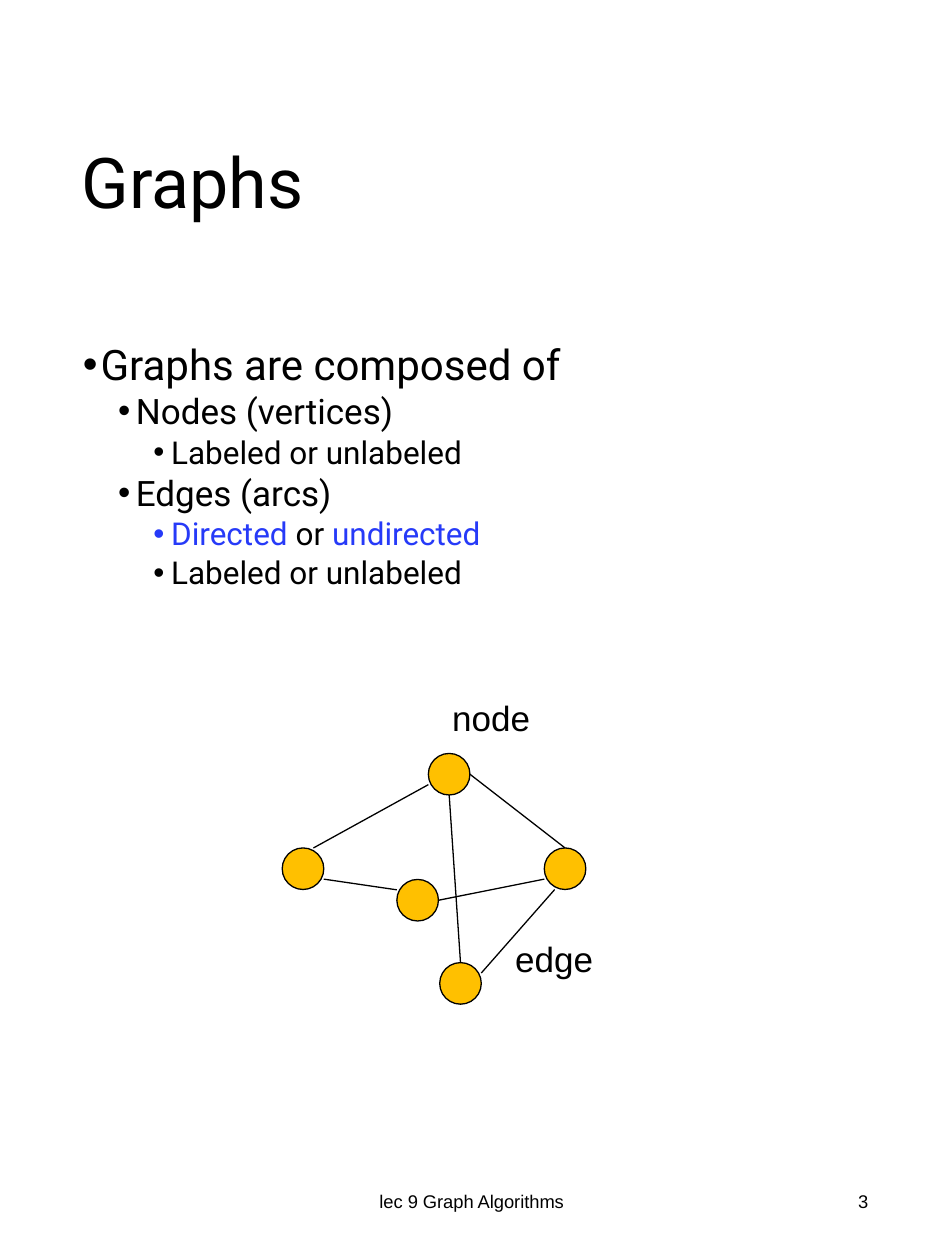
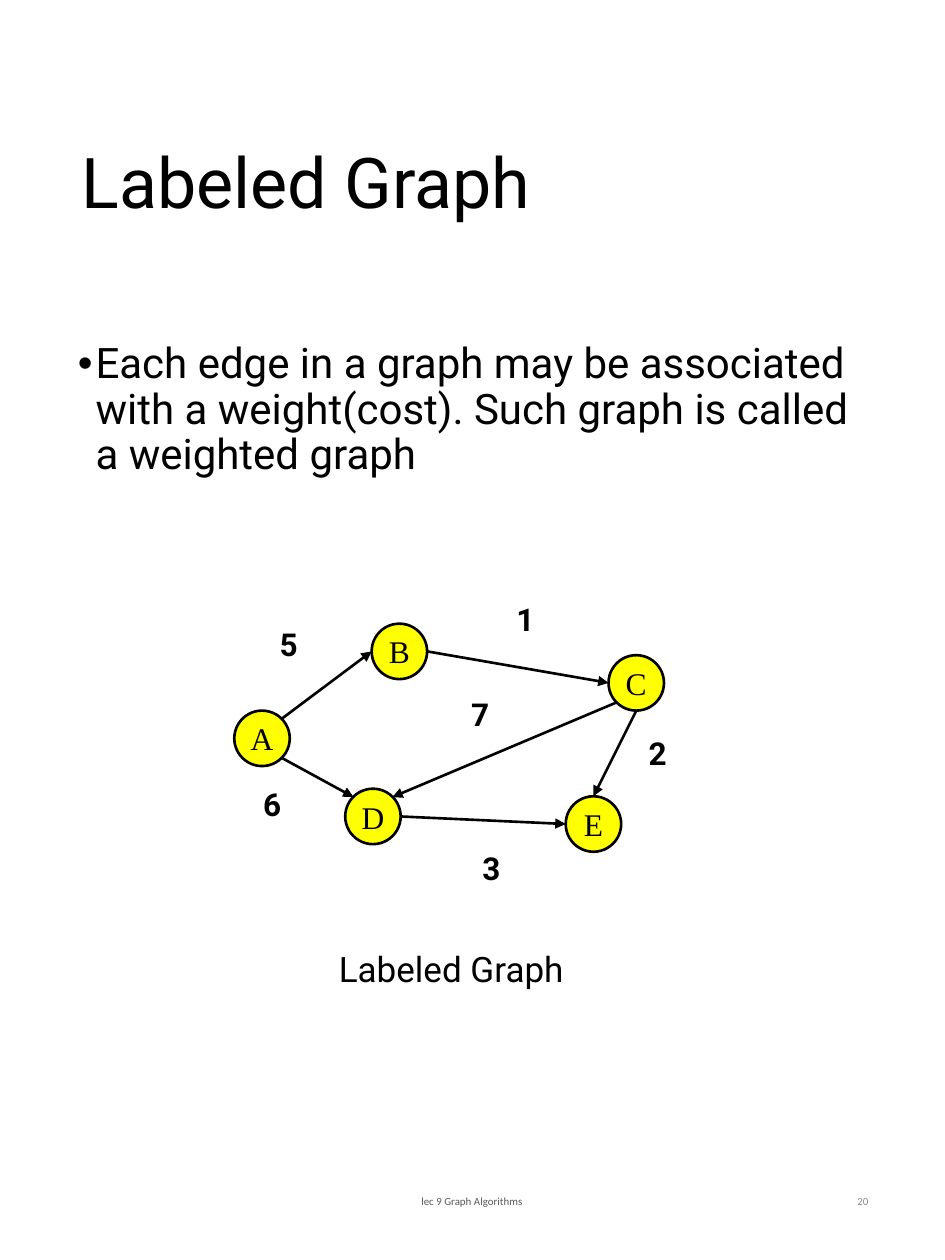
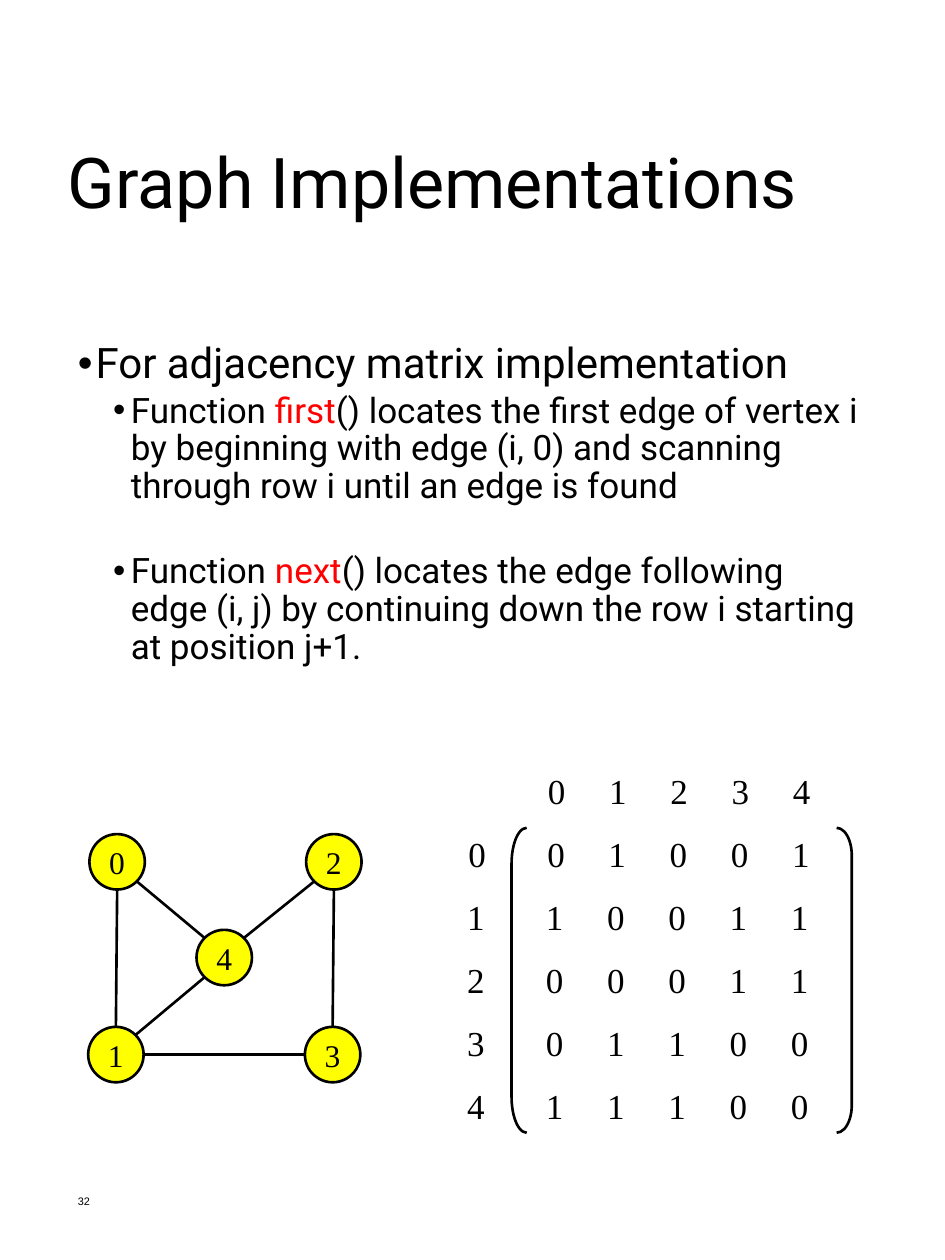
from dataclasses import dataclass

from lxml.etree import SubElement
from pptx import Presentation
from pptx.dml.color import RGBColor
from pptx.enum.shapes import MSO_CONNECTOR, MSO_SHAPE
from pptx.enum.text import MSO_ANCHOR, MSO_AUTO_SIZE, PP_ALIGN
from pptx.oxml.ns import qn
from pptx.util import Inches, Pt


@dataclass(frozen=True)
class Theme:
    sans: str = "Roboto"
    plain: str = "Arial"
    small_print: str = "Calibri"
    serif: str = "Times New Roman"
    black: str = "000000"
    blue: str = "263AF8"
    red: str = "FF0000"
    amber: str = "FFC000"
    yellow: str = "FFFF00"
    dark_gray: str = "595959"
    gray: str = "8C8C8C"
    title: float = 40
    levels: tuple = (24, 20, 18)
    label: float = 20
    node: float = 18
    footer: float = 10.5
    small_footer: float = 6.2
    thin: float = 0.75
    thick: float = 1.5


THEME = Theme()
LEVEL_INDENT, HANGING = 0.28, 0.14
FOOTER_TOP, FOOTER_HEIGHT = 9.27, 0.53

# Points on a node's frame, as fractions of its width and height
SITES = {
    "top": (0.5, 0), "bottom": (0.5, 1), "left": (0, 0.5), "right": (1, 0.5),
    "top left": (0.15, 0.15), "top right": (0.85, 0.15),
    "bottom left": (0.15, 0.85), "bottom right": (0.85, 0.85),
}


def rgb(color):
    return RGBColor.from_string(color)


class Deck:
    def __init__(self, theme):
        self.theme = theme
        self.prs = Presentation()
        self.prs.slide_width, self.prs.slide_height = Inches(7.5), Inches(10)
        self.s = None

    def new_slide(self):
        self.s = self.prs.slides.add_slide(self.prs.slide_layouts[6])

    def run(self, p, text, size, font, color=None, bold=False):
        r = p.add_run()
        r.text = text
        r.font.size, r.font.name, r.font.bold = Pt(size), font, bold
        r.font.color.rgb = rgb(color or self.theme.black)

    def frame(self, box, anchor=MSO_ANCHOR.TOP, wrap=True, grow=False):
        tf = self.s.shapes.add_textbox(*map(Inches, box)).text_frame
        tf.word_wrap, tf.vertical_anchor = wrap, anchor
        tf.auto_size = MSO_AUTO_SIZE.SHAPE_TO_FIT_TEXT if grow else MSO_AUTO_SIZE.NONE
        return tf

    def title(self, text, left=0.55, width=6.47):
        p = self.frame((left, 0.51, width, 1.93), MSO_ANCHOR.MIDDLE).paragraphs[0]
        p.line_spacing = 0.9
        self.run(p, text, self.theme.title, self.theme.sans)

    def body(self, box, items):
        """Each item is (level, runs, space before); a run is text or (text, color)."""
        tf = self.frame(box)
        for i, (level, runs, space) in enumerate(items):
            p = tf.add_paragraph() if i else tf.paragraphs[0]
            p.level = level
            pPr = p._p.get_or_add_pPr()
            pPr.set("marL", str(Inches(HANGING + level * LEVEL_INDENT)))
            pPr.set("indent", str(-Inches(HANGING)))
            SubElement(pPr, qn("a:buFont"), typeface=self.theme.plain)
            SubElement(pPr, qn("a:buChar"), char="•")
            p.line_spacing = 0.9
            p.space_before = Pt(space if i else 0)
            for piece in runs:
                text, color = (piece, None) if isinstance(piece, str) else piece
                self.run(p, text, self.theme.levels[level], self.theme.sans, color)

    def footer(self, text, left, width, align, size, font, color=None):
        tf = self.frame((left, FOOTER_TOP, width, FOOTER_HEIGHT), MSO_ANCHOR.MIDDLE)
        p = tf.paragraphs[0]
        p.alignment = align
        self.run(p, text, size, font, color)

    def footers(self, number, size, font, text_color=None, number_color=None):
        self.footer("lec 9 Graph Algorithms", 2.48, 2.53, PP_ALIGN.CENTER,
                    size, font, text_color)
        self.footer(number, 5.3, 1.69, PP_ALIGN.RIGHT, size, font, number_color)

    def label(self, text, box, size, font, bold=False, wrap=False):
        p = self.frame(box, wrap=wrap, grow=True).paragraphs[0]
        self.run(p, text, size, font, bold=bold)

    def row(self, values, left, top, width, first_gap, gap=0.486):
        """Write values in one line, set apart by tab stops."""
        p = self.frame((left, top, width, 0.44), grow=True).paragraphs[0]
        tabs = SubElement(p._p.get_or_add_pPr(), qn("a:tabLst"))
        for i in range(len(values) - 1):
            SubElement(tabs, qn("a:tab"), pos=str(Inches(first_gap + i * gap)), algn="l")
        self.run(p, "\t".join(values), self.theme.label, self.theme.serif)

    def shape(self, kind, box, line, fill=None):
        sp = self.s.shapes.add_shape(kind, *map(Inches, box))
        sp.shadow.inherit = False
        if fill:
            sp.fill.solid()
            sp.fill.fore_color.rgb = rgb(fill)
        else:
            sp.fill.background()
        sp.line.color.rgb, sp.line.width = rgb(self.theme.black), Pt(line)
        return sp

    def node(self, left, top, size, fill, line, text=None):
        sp = self.shape(MSO_SHAPE.OVAL, (left, top, size, size), line, fill)
        if text:
            tf = sp.text_frame
            tf.word_wrap, tf.vertical_anchor = False, MSO_ANCHOR.MIDDLE
            p = tf.paragraphs[0]
            p.alignment = PP_ALIGN.CENTER
            self.run(p, text, self.theme.node, self.theme.serif)

    def edge(self, start, end, line, arrow):
        c = self.s.shapes.add_connector(MSO_CONNECTOR.STRAIGHT, *map(Inches, start + end))
        c.line.color.rgb, c.line.width = rgb(self.theme.black), Pt(line)
        if arrow:
            SubElement(c.line._get_or_add_ln(), qn("a:tailEnd"), type="triangle")
        SubElement(c._element.spPr, qn("a:effectLst"))

    def graph(self, nodes, edges, size, fill, line, named=True, arrow=False):
        """Draw nodes {name: (left, top)} and edges (from, site, to, site)."""
        def point(name, site):
            fx, fy = SITES.get(site, site)
            left, top = nodes[name]
            return left + fx * size, top + fy * size

        for name, (left, top) in nodes.items():
            self.node(left, top, size, fill, line, name if named else None)
        for a, a_site, b, b_site in edges:
            self.edge(point(a, a_site), point(b, b_site), line, arrow)


def graphs_slide(deck):
    t = deck.theme
    deck.new_slide()
    deck.footers("3", t.footer, t.plain)
    deck.title("Graphs")
    deck.body((0.56, 2.68, 6.38, 2.51), [
        (0, ["Graphs are composed of"], 0),
        (1, ["Nodes (vertices)"], 2.8),
        (2, ["Labeled or unlabeled"], 2.8),
        (1, ["Edges (arcs)"], 2.8),
        (2, [("Directed", t.blue), " or ", ("undirected", t.blue)], 2.8),
        (2, ["Labeled or unlabeled"], 2.8),
    ])
    nodes = {"west": (2.24, 6.73), "north": (3.4, 5.98), "east": (4.32, 6.73),
             "south": (3.49, 7.64), "middle": (3.15, 6.98)}
    edges = [
        ("west", (0.75, 0), "north", (0, 0.75)),
        ("north", "right", "east", "top"),
        ("north", "bottom", "south", "top"),
        ("middle", "right", "east", (0, 0.75)),
        ("south", (1, 0.25), "east", (0.25, 1)),
        ("west", (1, 0.75), "middle", (0, 0.25)),
    ]
    deck.graph(nodes, edges, 0.33, t.amber, t.thin, named=False)
    deck.label("node", (3.49, 5.48, 0.82, 0.43), t.label, t.plain)
    deck.label("edge", (3.99, 7.39, 0.82, 0.43), t.label, t.plain)


def labeled_graph_slide(deck):
    t = deck.theme
    deck.new_slide()
    deck.title("Labeled Graph")
    deck.body((0.52, 2.67, 6.47, 6.34), [
        (0, ["Each edge in a graph may be associated with a weight(cost). "
             "Such graph is called a weighted graph"], 0),
    ])
    deck.footers("20", t.small_footer, t.small_print, t.dark_gray, t.gray)
    nodes = {"A": (1.86, 5.64), "B": (2.95, 4.95), "C": (4.83, 5.2),
             "E": (4.49, 6.32), "D": (2.74, 6.26)}
    edges = [
        ("C", "bottom", "E", "top"),
        ("D", "right", "E", "left"),
        ("A", "bottom right", "D", "top left"),
        ("C", "bottom left", "D", "top right"),
        ("B", "right", "C", "left"),
        ("A", "top right", "B", "left"),
    ]
    deck.graph(nodes, edges, 0.44, t.yellow, t.thick, arrow=True)
    weights = {"5": (2.12, 4.91), "1": (4, 4.71), "3": (3.73, 6.69),
               "7": (3.64, 5.47), "2": (5.05, 5.78), "6": (1.99, 6.18)}
    for weight, place in weights.items():
        deck.label(weight, (*place, 0.55, 0.4), t.node, t.sans, bold=True, wrap=True)
    deck.label("Labeled Graph", (2.59, 7.47, 2.11, 0.44), t.label, t.sans)


def implementations_slide(deck):
    t = deck.theme
    deck.new_slide()
    deck.title("Graph Implementations", 0.44, 6.93)
    deck.body((0.52, 2.67, 6.47, 6.34), [
        (0, ["For adjacency matrix implementation"], 0),
        (1, ["Function ", ("first", t.red),
             "() locates the first edge of vertex i by beginning with edge (i, 0) "
             "and scanning through row i until an edge is found"], 2.8),
        (1, ["Function ", ("next", t.red),
             "() locates the edge following edge (i, j) by continuing down the row i "
             "starting at position j+1."], 26.9),
    ])
    deck.footer("32", 0.52, 1.69, PP_ALIGN.LEFT, t.small_footer, t.plain)
    nodes = {"0": (0.71, 6.62), "2": (2.43, 6.62), "4": (1.56, 7.38),
             "3": (2.42, 8.15), "1": (0.7, 8.15)}
    edges = [
        ("3", "top", "2", "bottom"),
        ("0", "bottom", "1", "top"),
        ("4", "bottom left", "1", "top right"),
        ("2", "bottom left", "4", "top right"),
        ("0", "bottom right", "4", "top left"),
        ("1", "right", "3", "left"),
    ]
    deck.graph(nodes, edges, 0.44, t.yellow, t.thick)

    for kind, left, curve in ((MSO_SHAPE.LEFT_BRACKET, 4.06, 2.38),
                              (MSO_SHAPE.RIGHT_BRACKET, 6.64, 1.83)):
        bracket = deck.shape(kind, (left, 6.57, 0.12, 2.42), t.thick)
        bracket.adjustments[0] = curve
    deck.row("01234", 4.25, 6.06, 2.41, 0.486)
    matrix = ["01001", "10011", "00011", "01100", "11100"]
    for i, values in enumerate(matrix):
        deck.row(f"{i}{values}", 3.61 if i else 3.62, 6.56 + i * 0.5, 3.04, 0.625)


def main():
    deck = Deck(THEME)
    graphs_slide(deck)
    labeled_graph_slide(deck)
    implementations_slide(deck)
    deck.prs.save("out.pptx")


if __name__ == "__main__":
    main()
